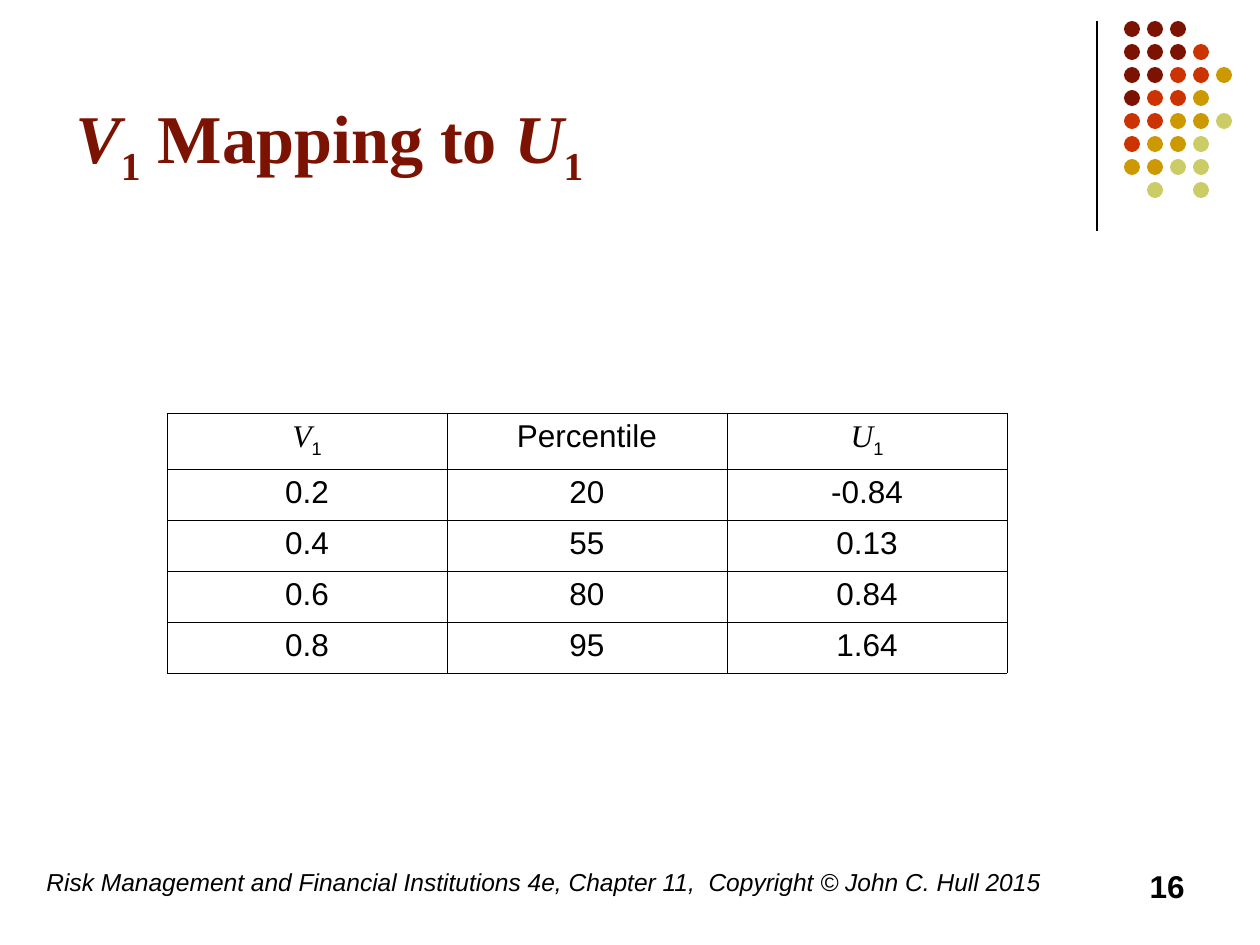
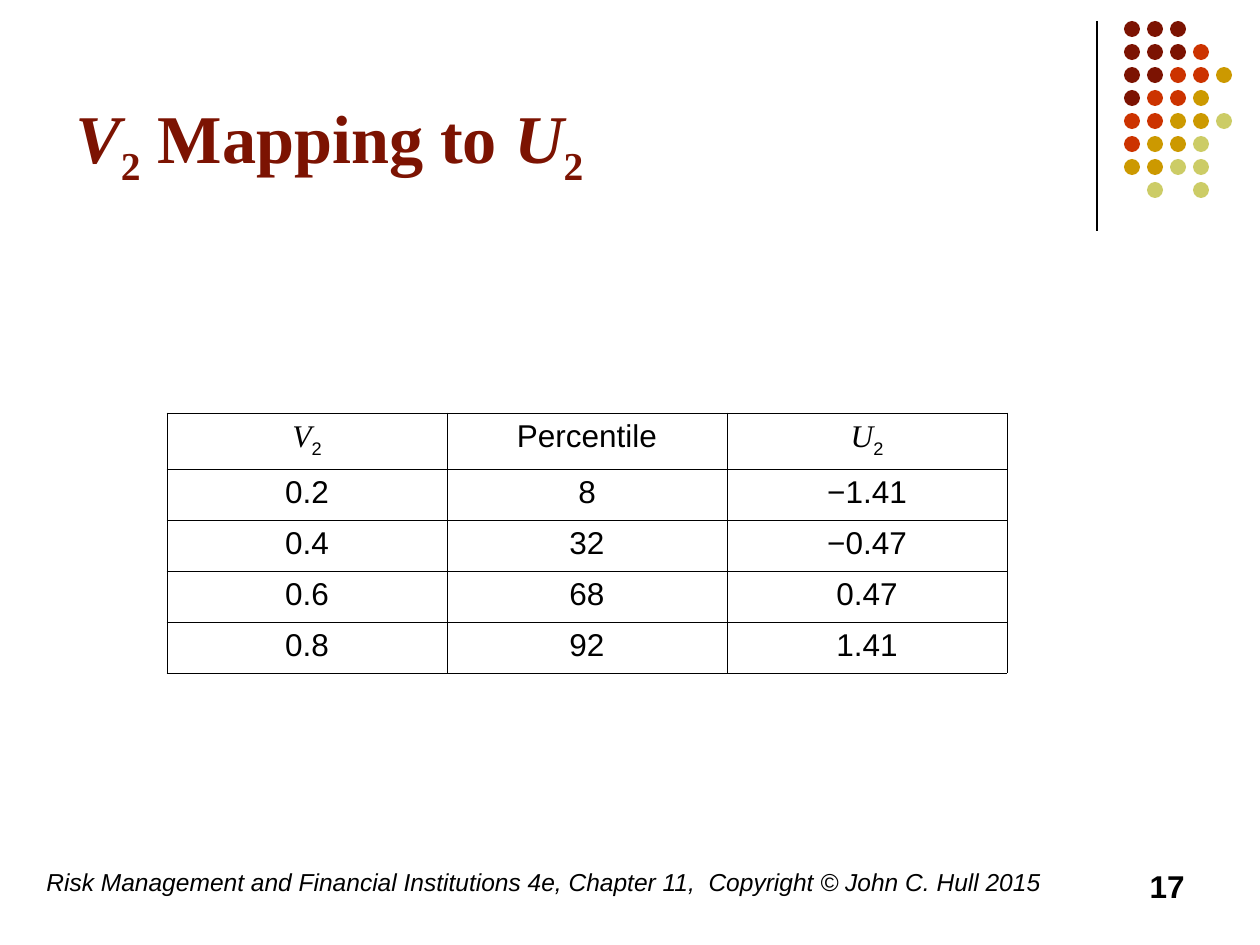
"""Build two slides that map the variables V1 and V2 to the normal variables U1 and U2."""
from lxml import etree
from pptx import Presentation
from pptx.dml.color import RGBColor
from pptx.enum.shapes import MSO_CONNECTOR, MSO_SHAPE
from pptx.enum.text import MSO_ANCHOR, PP_ALIGN
from pptx.oxml import parse_xml
from pptx.oxml.ns import nsdecls, qn
from pptx.util import Pt

STRAIGHT = MSO_CONNECTOR.STRAIGHT
ELLIPSE = MSO_SHAPE.OVAL
BOTTOM = MSO_ANCHOR.BOTTOM
CENTER, RIGHT = PP_ALIGN.CENTER, PP_ALIGN.RIGHT
SERIF, SANS = "Times New Roman", "Arial"
BLACK, MAROON = "000000", "7C1302"
SCALE = 914400 / 126

DOT_COLORS = {"m": MAROON, "r": "CC3300", "g": "CC9900", "y": "CCCC66"}
DOT_ROWS = ["mmm", "mmmr", "mmrrg", "mrrg", "rrggy", "rggy", "ggyy", " y y"]
DOT_LEFT, DOT_TOP, DOT_STEP, DOT_SIZE = 1124, 21, 23, 16

FOOTER = "Risk Management and Financial Institutions 4e, Chapter 11,  Copyright © John C. Hull 2015"
V_VALUES = ["0.2", "0.4", "0.6", "0.8"]
MAPPINGS = [
    ("1", "16", ["20", "55", "80", "95"], ["-0.84", "0.13", "0.84", "1.64"]),
    ("2", "17", ["8", "32", "68", "92"], ["−1.41", "−0.47", "0.47", "1.41"]),
]
COLUMN_WIDTH, HEADER_HEIGHT, ROW_HEIGHT = 280, 56, 51


def px(*lengths):
    return [round(length * SCALE) for length in lengths]


def add_span(para, text, size, face=SANS, color=BLACK, bold=False, italic=False, subscript=False):
    span = para.add_run()
    span.text = text
    span.font.size = Pt(size)
    span.font.name = face
    span.font.bold = bold
    span.font.italic = italic
    span.font.color.rgb = RGBColor.from_string(color)
    if subscript:
        span._r.get_or_add_rPr().set("baseline", "-25000")


deck = Presentation()
deck.slide_width, deck.slide_height = px(1260, 945)

for index, page_number, percentiles, u_values in MAPPINGS:
    page = deck.slides.add_slide(deck.slide_layouts[6])

    divider = page.shapes.add_connector(STRAIGHT, *px(1097, 21, 1097, 231))
    divider.line.color.rgb = RGBColor.from_string(BLACK)
    divider.line.width = Pt(0.75)
    etree.SubElement(divider._element.spPr, qn("a:effectLst"))

    for row, codes in enumerate(DOT_ROWS):
        for column, code in enumerate(codes):
            if code in DOT_COLORS:
                left = DOT_LEFT + column * DOT_STEP
                top = DOT_TOP + row * DOT_STEP
                dot = page.shapes.add_shape(ELLIPSE, *px(left, top, DOT_SIZE, DOT_SIZE))
                dot.shadow.inherit = False
                dot.fill.solid()
                dot.fill.fore_color.rgb = RGBColor.from_string(DOT_COLORS[code])
                dot.line.fill.background()

    title = page.shapes.add_textbox(*px(63, 16, 1040, 179)).text_frame
    title.word_wrap = True
    title.vertical_anchor = BOTTOM
    for text, italic, subscript in [
        ("V", True, False),
        (index, False, True),
        (" Mapping to ", False, False),
        ("U", True, False),
        (index, False, True),
    ]:
        add_span(title.paragraphs[0], text, 39, SERIF, MAROON, True, italic, subscript)

    footer = page.shapes.add_textbox(*px(34, 861, 1042, 63)).text_frame
    footer.word_wrap = True
    add_span(footer.paragraphs[0], FOOTER, 14, italic=True)

    number = page.shapes.add_textbox(*px(903, 861, 294, 63)).text_frame
    number.word_wrap = True
    number.paragraphs[0].alignment = RIGHT
    add_span(number.paragraphs[0], page_number, 18, bold=True)

    rows = [("V", "Percentile", "U"), *zip(V_VALUES, percentiles, u_values)]
    height = HEADER_HEIGHT + ROW_HEIGHT * len(V_VALUES)
    frame = page.shapes.add_table(len(rows), 3, *px(167, 413, 3 * COLUMN_WIDTH, height))
    table = frame.table
    table.first_row = False
    table.horz_banding = False
    for table_column in table.columns:
        table_column.width = px(COLUMN_WIDTH)[0]
    for row, texts in enumerate(rows):
        table.rows[row].height = px(ROW_HEIGHT if row else HEADER_HEIGHT)[0]
        for column, text in enumerate(texts):
            cell = table.cell(row, column)
            cell.fill.background()
            properties = cell._tc.get_or_add_tcPr()
            for position, side in enumerate("LRTB"):
                properties.insert(position, parse_xml(
                    f'<a:ln{side} {nsdecls("a")} w="5715"><a:solidFill>'
                    f'<a:srgbClr val="{BLACK}"/></a:solidFill></a:ln{side}>'
                ))
            para = cell.text_frame.paragraphs[0]
            para.alignment = CENTER
            if text in ("V", "U"):
                add_span(para, text, 18, SERIF, italic=True)
                add_span(para, index, 18, subscript=True)
            else:
                add_span(para, text, 18)

deck.save("out.pptx")
